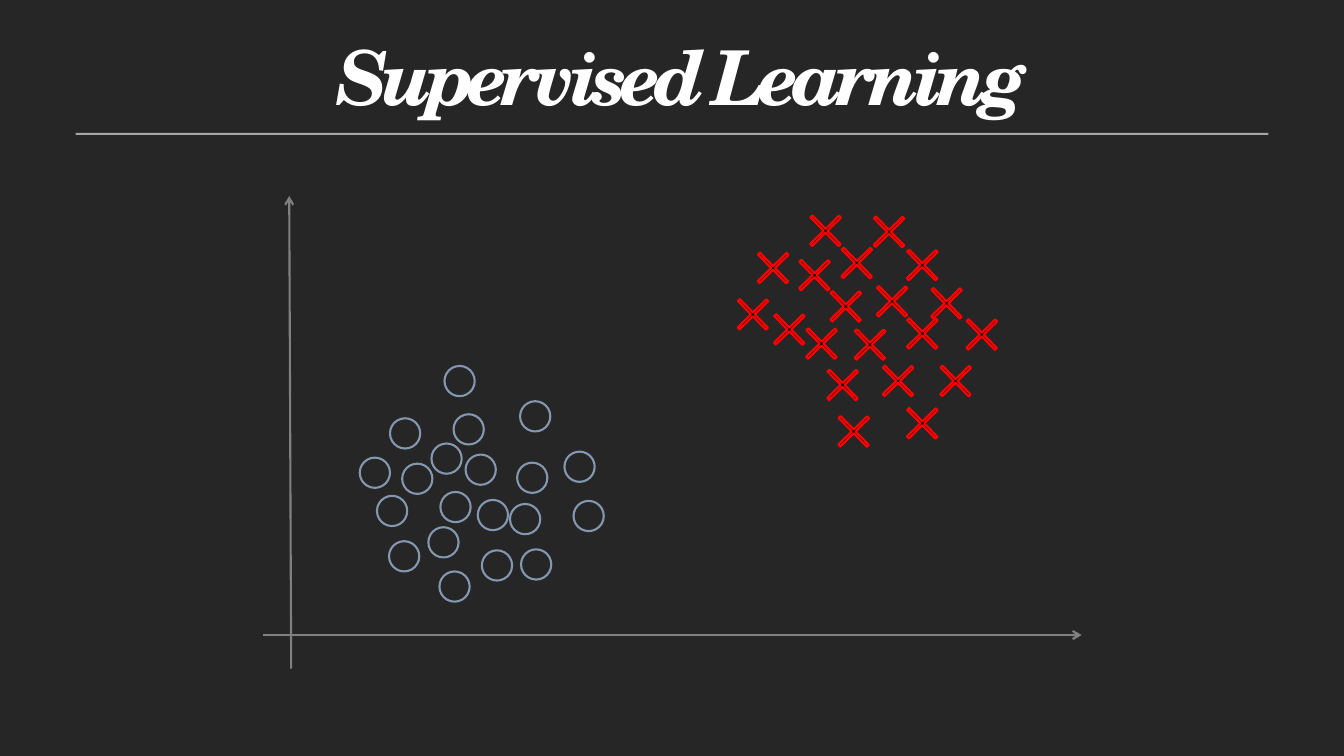
from lxml import etree
from pptx import Presentation
from pptx import util as u
from pptx.dml.color import RGBColor
from pptx.enum import shapes, text
from pptx.oxml.ns import qn

Pt = u.Pt
KIND = shapes.MSO_SHAPE
FONT = "TeX Gyre Schola"

CIRCLES = [
    (153.3, 217.1), (125.9, 268.2), (89.9, 246.6), (184.2, 252.4),
    (99.3, 191.2), (144.6, 184.7), (118, 236.6), (81.3, 214.2),
    (176.3, 220), (90.6, 158.8), (181.4, 190.5), (156.2, 253.1),
    (126.6, 211.4), (221.7, 217.8), (136, 155.9), (183.5, 146.6),
    (69, 186.9), (120.2, 176.8), (215.2, 182.6), (129.5, 121.4),
]
CROSSES = [
    (349.8, 37.1), (361.4, 81), (335.4, 70.2), (456.4, 35),
    (387.3, 10.5), (379.4, 42.2), (384.4, 91.1), (419, 91.8),
    (473.7, 62.3), (409.6, 33.5), (401.7, 64.5), (399.5, 120.6),
    (439.1, 117.8), (498.9, 84.6), (432.6, 11.2), (434.8, 60.9),
    (407.4, 153.8), (456.4, 148), (480.2, 117.8), (456.4, 83.9),
]


def paint(target, color):
    """Give a fill or line fill a solid hex colour."""
    target.solid()
    target.fore_color.rgb = RGBColor.from_string(color)


def shape(slide, kind, box, fill=None, line=None):
    """Add a preset shape with optional fill and outline."""
    item = slide.shapes.add_shape(kind, *map(Pt, box))
    item.shadow.inherit = False
    if fill:
        paint(item.fill, fill)
    else:
        item.fill.background()
    if line:
        paint(item.line.fill, line)
        item.line.width = Pt(1.5)
    else:
        item.line.fill.background()
    return item


def arrow(slide, start, end):
    """Add a grey axis line with an open arrowhead at its end."""
    line = slide.shapes.add_connector(
        shapes.MSO_CONNECTOR.STRAIGHT, *map(Pt, start + end))
    paint(line.line.fill, "808080")
    line.line.width = Pt(1.5)
    props = line.element.spPr
    etree.SubElement(props.find(qn("a:ln")), qn("a:tailEnd"), type="arrow")
    etree.SubElement(props, qn("a:effectLst"))


def header(slide, left, top, width, height):
    """Place the title with the rule below it."""
    box = slide.shapes.add_textbox(
        Pt(left + 34), Pt(top), Pt(width - 54), Pt(height - 7))
    frame = box.text_frame
    frame.word_wrap = True
    frame.vertical_anchor = text.MSO_ANCHOR.MIDDLE
    frame.text = "Supervised Learning"
    para = frame.paragraphs[0]
    para.alignment = text.PP_ALIGN.CENTER
    para.line_spacing = Pt(80.7)
    run = para.runs[0]
    font = run.font
    font.name, font.size = FONT, Pt(54)
    font.bold = font.italic = True
    paint(font.fill, "FFFFFF")
    run.font._element.set("spc", "-480")
    shape(slide, KIND.RECTANGLE, (left, top + height, width, 1.4), "A6A6A6")


def scatter(slide, left, top, width, height):
    """Place the axes and the two clusters of marks."""
    base = top + height - 24
    arrow(slide, (left + 20, top + height), (left + 18.6, top))
    arrow(slide, (left, base), (left + width, base))
    for x, y in CIRCLES:
        shape(slide, KIND.OVAL, (left + x, top + y, 21.6, 21.6), line="8497B0")
    for x, y in CROSSES:
        mark = shape(slide, KIND.CROSS, (left + x, top + y, 28.8, 28.8),
                     "000000", "FF0000")
        mark.adjustments[0] = 0.466
        mark.rotation = 45.6


def main():
    """Build and save the slide."""
    deck = Presentation()
    deck.slide_width, deck.slide_height = Pt(960), Pt(540)
    slide = deck.slides.add_slide(deck.slide_layouts[6])
    paint(slide.background.fill, "262626")
    header(slide, 54, 3.6, 852, 91.4)
    scatter(slide, 188, 140, 584.6, 337.6)
    deck.save("out.pptx")


if __name__ == "__main__":
    main()
